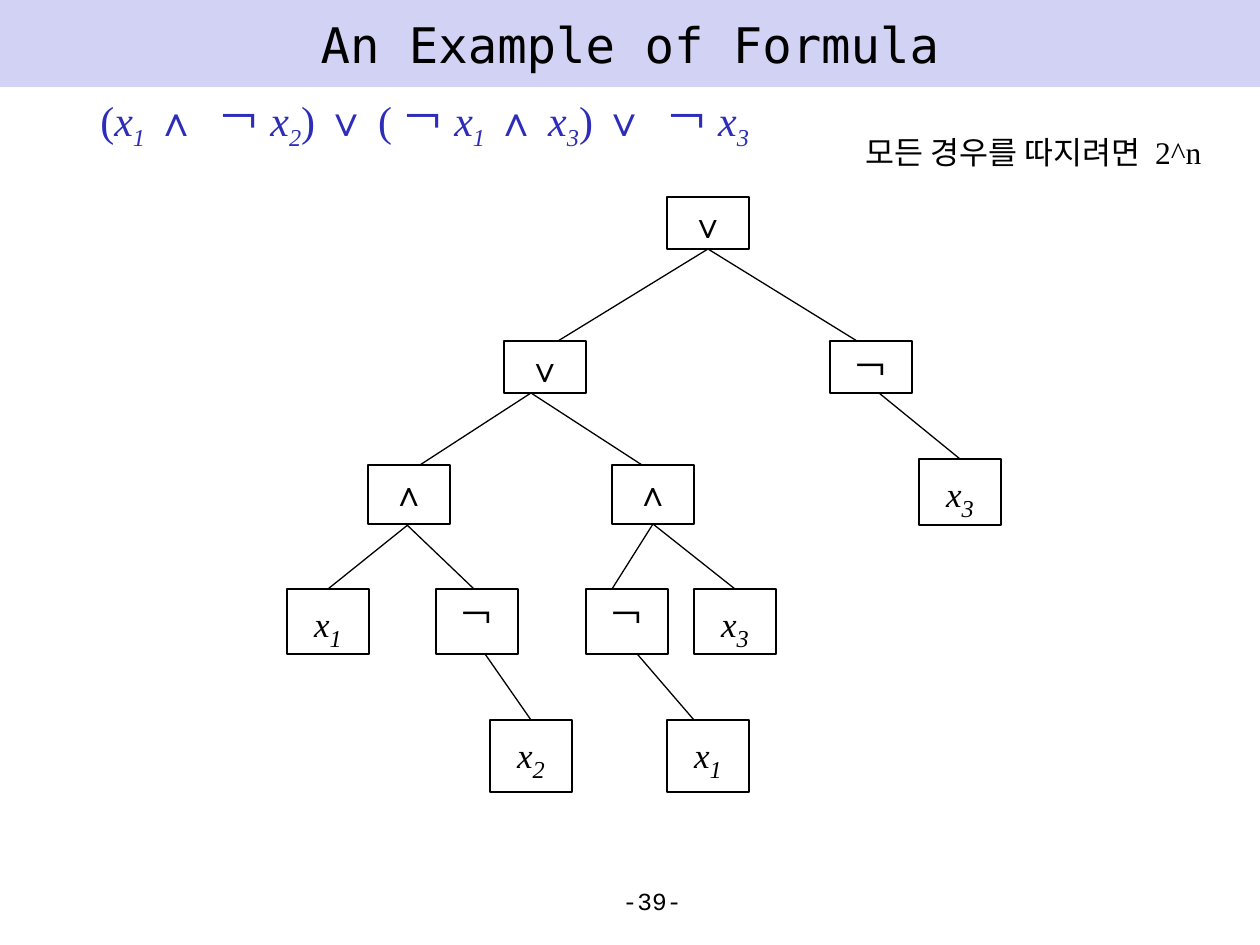
from dataclasses import dataclass

from lxml.etree import SubElement
from pptx import Presentation
from pptx.dml.color import RGBColor
from pptx.enum.shapes import MSO_CONNECTOR as Connector, MSO_SHAPE as Shape
from pptx.enum.text import MSO_ANCHOR as Anchor, PP_ALIGN as Align
from pptx.oxml.ns import qn
from pptx.util import Pt

PX = 914400 / 126
BLACK, WHITE, LAVENDER, BLUE = "000000", "FFFFFF", "D2D2F4", "2D2DB9"
SERIF = "Times New Roman"
NODE_WIDTH = 82
BOTTOM, TOP = 2, 0


@dataclass(frozen=True)
class Piece:
    text: str
    size: int
    italic: bool = False
    subscript: bool = False


@dataclass(frozen=True)
class Node:
    symbol: str
    left: int
    top: int
    height: int

    @property
    def middle(self) -> int:
        return self.left + NODE_WIDTH // 2


@dataclass(frozen=True)
class Edge:
    parent: str
    child: str
    start: tuple[int, int]
    end: tuple[int, int]


NODES = {
    "root": Node("∨", 667, 197, 52),
    "or": Node("∨", 504, 341, 52),
    "not x3": Node("￢", 830, 341, 52),
    "left and": Node("∧", 368, 465, 59),
    "right and": Node("∧", 612, 465, 59),
    "alone x3": Node("x3", 919, 459, 66),
    "left x1": Node("x1", 287, 589, 65),
    "not x2": Node("￢", 436, 589, 65),
    "not x1": Node("￢", 586, 589, 65),
    "right x3": Node("x3", 694, 589, 65),
    "left x2": Node("x2", 490, 720, 72),
    "right x1": Node("x1", 667, 720, 72),
}
EDGES = [
    Edge("root", "or", (708, 249), (558, 341)),
    Edge("root", "not x3", (708, 249), (857, 341)),
    Edge("or", "left and", (531, 393), (420, 465)),
    Edge("or", "right and", (531, 393), (642, 465)),
    Edge("not x3", "alone x3", (879, 393), (960, 459)),
    Edge("left and", "left x1", (409, 524), (328, 589)),
    Edge("left and", "not x2", (406, 524), (474, 589)),
    Edge("right and", "not x1", (653, 524), (612, 589)),
    Edge("right and", "right x3", (653, 524), (735, 589)),
    Edge("not x2", "left x2", (476, 641), (531, 720)),
    Edge("not x1", "right x1", (626, 641), (694, 720)),
]


def px(*lengths: int) -> list[int]:
    return [round(length * PX) for length in lengths]


def color(value: str) -> RGBColor:
    return RGBColor.from_string(value)


def variable(name: str, size: int, index_size: int) -> list[Piece]:
    """Italic letter followed by its subscript index."""
    return [Piece(name[0], size, True), Piece(name[1:], index_size, True, True)]


def write(frame, pieces: list[Piece], font: str, ink: str, align: Align) -> None:
    frame.word_wrap = True
    paragraph = frame.paragraphs[0]
    paragraph.alignment = align
    for piece in pieces:
        run = paragraph.add_run()
        run.text = piece.text
        run.font.name = font
        run.font.size = Pt(piece.size)
        run.font.italic = piece.italic
        run.font.color.rgb = color(ink)
        if piece.subscript:
            run.font._element.set("baseline", "-25000")


def add_text(slide, box: tuple[int, ...], pieces: list[Piece], font: str = SERIF,
             ink: str = BLACK, align: Align = Align.LEFT) -> None:
    frame = slide.shapes.add_textbox(*px(*box)).text_frame
    write(frame, pieces, font, ink, align)


def add_box(slide, box: tuple[int, ...], fill: str, pieces: list[Piece],
            font: str, anchor: Anchor):
    rectangle = slide.shapes.add_shape(Shape.RECTANGLE, *px(*box))
    rectangle.shadow.inherit = False
    rectangle.fill.solid()
    rectangle.fill.fore_color.rgb = color(fill)
    rectangle.line.fill.background()
    rectangle.text_frame.vertical_anchor = anchor
    write(rectangle.text_frame, pieces, font, BLACK, Align.CENTER)
    return rectangle


def outline(line) -> None:
    line.color.rgb = color(BLACK)
    line.width = Pt(0.75)


def add_node(slide, node: Node):
    if node.symbol.startswith("x"):
        pieces = variable(node.symbol, 20, 24)
    else:
        pieces = [Piece(node.symbol, 20)]
    box = (node.left, node.top, NODE_WIDTH, node.height)
    rectangle = add_box(slide, box, WHITE, pieces, SERIF, Anchor.TOP)
    outline(rectangle.line)
    return rectangle


def add_edge(slide, edge: Edge, boxes: dict) -> None:
    """Line behind the nodes, joined wherever it meets the middle of a side."""
    line = slide.shapes.add_connector(Connector.STRAIGHT, *px(*edge.start, *edge.end))
    outline(line.line)
    SubElement(line.element.spPr, qn("a:effectLst"))
    if edge.start[0] == NODES[edge.parent].middle:
        line.begin_connect(boxes[edge.parent], BOTTOM)
    if edge.end[0] == NODES[edge.child].middle:
        line.end_connect(boxes[edge.child], TOP)
    slide.shapes.element.insert(2, line.element)


def formula() -> list[Piece]:
    terms = [("(", "x1"), (" ∧ ￢", "x2"), (") ∨ (￢", "x1"),
             (" ∧ ", "x3"), (") ∨ ￢", "x3")]
    pieces = []
    for operators, name in terms:
        pieces += [Piece(operators, 24), *variable(name, 24, 24)]
    return pieces


def main() -> None:
    deck = Presentation()
    deck.slide_width, deck.slide_height = px(1260, 945)
    slide = deck.slides.add_slide(deck.slide_layouts[6])

    add_box(slide, (0, 0, 1260, 87), LAVENDER, [Piece("An Example of Formula", 28)],
            "DejaVu Sans Mono", Anchor.MIDDLE)
    add_text(slide, (88, 88, 1106, 722), formula(), ink=BLUE)
    add_text(slide, (432, 880, 262, 39), [Piece("-39-", 14)], "Courier New",
             align=Align.RIGHT)
    boxes = {name: add_node(slide, node) for name, node in NODES.items()}
    for edge in EDGES:
        add_edge(slide, edge, boxes)
    add_text(slide, (830, 127, 407, 50), [Piece("모든 경우를 따지려면 2^n", 18)],
             align=Align.CENTER)
    deck.save("out.pptx")


if __name__ == "__main__":
    main()
